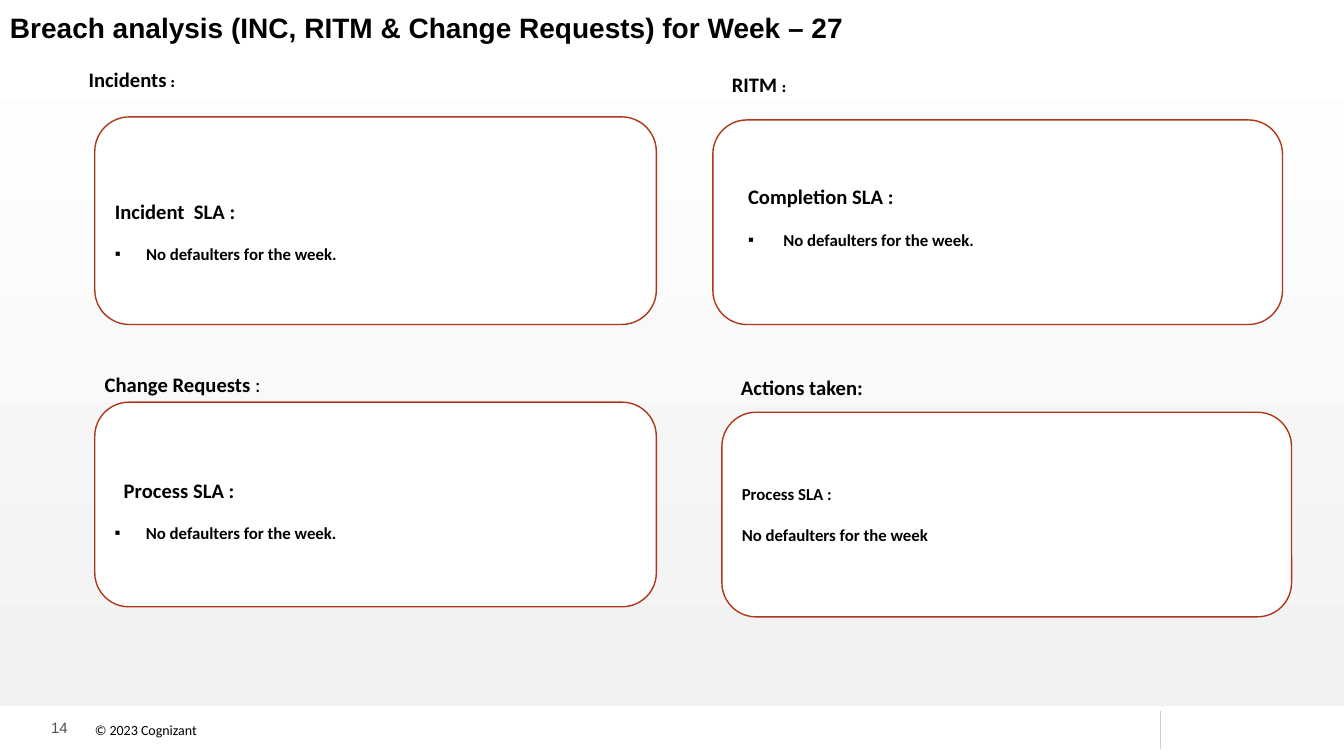
from lxml.etree import SubElement
from pptx import Presentation
from pptx.dml.color import RGBColor
from pptx.enum.shapes import MSO_CONNECTOR, MSO_SHAPE
from pptx.enum.text import MSO_ANCHOR, PP_ALIGN
from pptx.oxml.ns import qn
from pptx.util import Inches, Pt

BLACK = RGBColor(0x00, 0x00, 0x00)
WHITE = RGBColor(0xFF, 0xFF, 0xFF)
PALE_GREY = RGBColor(0xF2, 0xF2, 0xF2)
NUMBER_GREY = RGBColor(0x50, 0x50, 0x46)
RULE_BEIGE = RGBColor(0xD5, 0xD0, 0xB5)
CARD_RED = RGBColor(0xAC, 0x38, 0x19)

deck = Presentation()
deck.slide_width = Inches(13.33)
deck.slide_height = Inches(7.5)
page = deck.slides.add_slide(deck.slide_layouts[6])


def add_span(para, text, size, bold=True, name="Calibri", color=BLACK):
    span = para.add_run()
    span.text = text
    span.font.size = Pt(size)
    span.font.bold = bold
    span.font.name = name
    span.font.color.rgb = color


def add_label(left, top, width, height, spans, anchor=MSO_ANCHOR.TOP):
    box = page.shapes.add_textbox(Inches(left), Inches(top), Inches(width), Inches(height))
    frame = box.text_frame
    frame.word_wrap = True
    frame.vertical_anchor = anchor
    for span in spans:
        add_span(frame.paragraphs[0], *span)
    return frame


backdrop = page.shapes.add_shape(MSO_SHAPE.RECTANGLE, 0, 0, deck.slide_width, Inches(7))
backdrop.shadow.inherit = False
backdrop.line.fill.background()
backdrop.fill.gradient()
backdrop.fill.gradient_angle = 90
for stop, color in zip(backdrop.fill.gradient_stops, (PALE_GREY, WHITE)):
    stop.color.rgb = color

rule = page.shapes.add_connector(
    MSO_CONNECTOR.STRAIGHT, Inches(11.51), Inches(7.05), Inches(11.51), Inches(7.43))
rule.line.color.rgb = RULE_BEIGE
rule.line.width = Pt(0.5)
SubElement(rule._element.spPr, qn("a:effectLst"))

add_label(0.41, 7.08, 0.76, 0.28, [("14", 10.7, False, "Arial", NUMBER_GREY)])
title = add_label(
    0, 0.03, 12.59, 0.53,
    [("Breach analysis (INC, RITM & Change Requests) for Week – 27", 20, True, "Arial")],
    MSO_ANCHOR.MIDDLE)
title.paragraphs[0].line_spacing = 0.9
footer = add_label(0.94, 7.06, 6.67, 0.27, [("© 2023 Cognizant", 10, False)], MSO_ANCHOR.BOTTOM)
footer.margin_left = footer.margin_right = footer.margin_top = footer.margin_bottom = 0

# left, top, width, height, text inset left and top, heading, size, heading indent, note, bullet indent
cards = [
    (0.94, 1.16, 5.57, 2.06, 0.1, 0.71, "Incident  SLA :", 14.7, 0, "No defaulters for the week.", 0.31),
    (7.07, 1.19, 5.65, 2.03, 0.25, 0.54, "Completion SLA :", 14.7, 0, "No defaulters for the week.", 0.35),
    (0.94, 3.99, 5.57, 2.03, 0.1, 0.65, "Process SLA :", 14.7, 0.09, "No defaulters for the week.", 0.31),
    (7.16, 4.09, 5.65, 2.03, 0.1, 0.61, "Process SLA :", 12, 0, "No defaulters for the week", 0),
]
for left, top, width, height, inset_left, inset_top, heading, size, indent, note, hang in cards:
    card = page.shapes.add_shape(
        MSO_SHAPE.ROUNDED_RECTANGLE, Inches(left), Inches(top), Inches(width), Inches(height))
    card.shadow.inherit = False
    card.fill.solid()
    card.fill.fore_color.rgb = WHITE
    card.line.color.rgb = CARD_RED
    card.line.width = Pt(1)
    frame = card.text_frame
    frame.word_wrap = True
    frame.vertical_anchor = MSO_ANCHOR.TOP
    frame.margin_left = Inches(inset_left)
    frame.margin_top = Inches(inset_top)
    heading_para = frame.paragraphs[0]
    heading_para.alignment = PP_ALIGN.LEFT
    heading_para._p.get_or_add_pPr().set("marL", str(Inches(indent)))
    add_span(heading_para, heading, size)
    note_para = frame.add_paragraph()
    note_para.alignment = PP_ALIGN.LEFT
    note_para.space_before = Pt(14.6)
    if hang:
        properties = note_para._p.get_or_add_pPr()
        properties.set("marL", str(Inches(hang)))
        properties.set("indent", str(-Inches(hang)))
        SubElement(properties, qn("a:buFont")).set("typeface", "Arial")
        SubElement(properties, qn("a:buChar")).set("char", "▪")
    add_span(note_para, note, 12)

labels = [
    (0.78, 0.61, 2.57, 0.35, [("Incidents", 14.7), (" :", 11, True, "League Spartan")]),
    (7.16, 0.66, 2.57, 0.35, [("RITM ", 14.7), (":", 11, True, "League Spartan")]),
    (0.94, 3.64, 3.05, 0.35, [("Change Requests ", 14.7), (":", 14.7, False)]),
    (7.25, 3.67, 5.28, 0.55, [("Actions taken:", 14.7)]),
]
for label in labels:
    add_label(*label)

deck.save("out.pptx")
